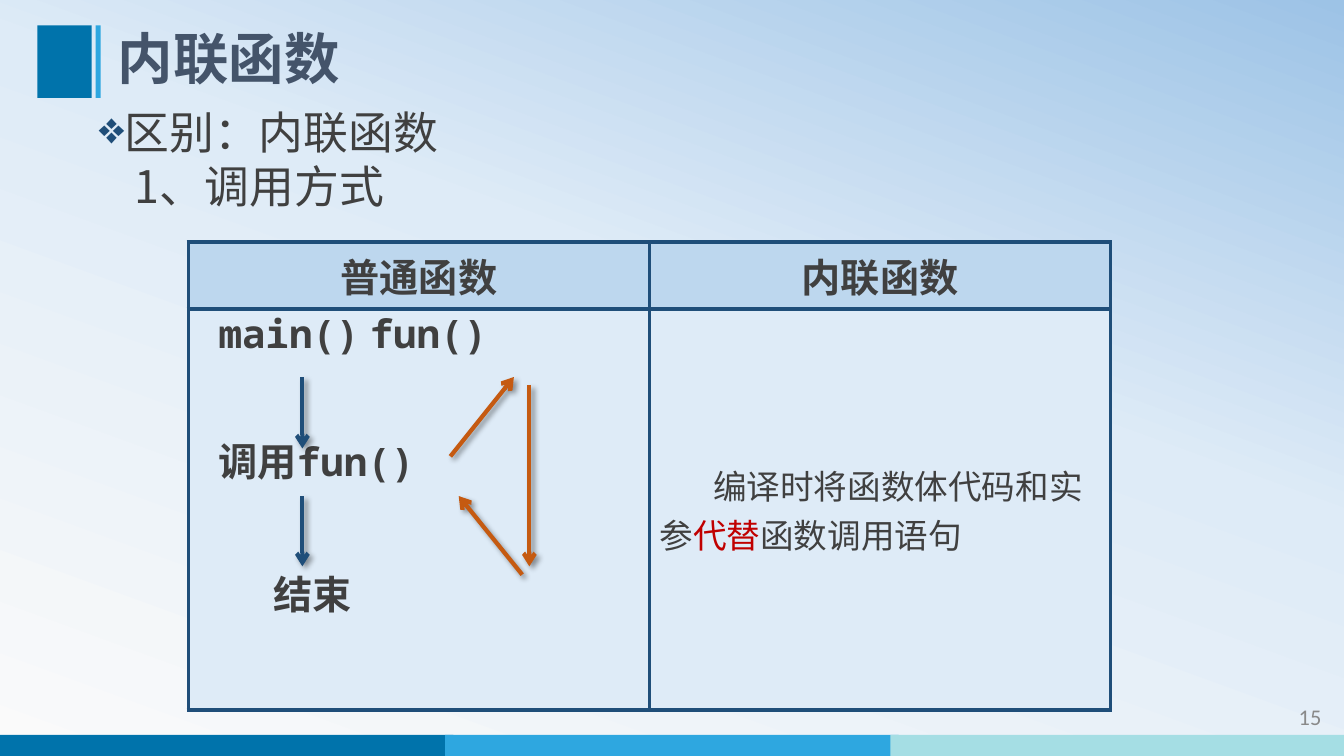
from pptx import Presentation
from pptx.dml.color import RGBColor
from pptx.enum.shapes import MSO_CONNECTOR as CONN, MSO_SHAPE as SHAPE
from pptx.enum.text import MSO_ANCHOR as ANCHOR, PP_ALIGN as ALIGN
from pptx.oxml import parse_xml
from pptx.oxml.ns import nsdecls
from pptx.util import Cm, Pt

NAVY, ORANGE, GREY = "1F4E79", "C55A11", "404040"
BLUES = ["0073AB", "2EA7E0", "A5DEE4"]
SANS, MONO = "Noto Sans CJK SC", "Noto Sans Mono"


def rgb(value):
    return RGBColor.from_string(value)


def xml(tag, attrs="", inner=""):
    return parse_xml(f"<{tag} {nsdecls('a', 'p')} {attrs}>{inner}</{tag}>")


def solid(color):
    return f'<a:solidFill><a:srgbClr val="{color}"/></a:solidFill>'


class Deck:
    def __init__(self, width, height):
        self.prs = Presentation()
        self.prs.slide_width, self.prs.slide_height = Cm(width), Cm(height)
        self.s = self.prs.slides.add_slide(self.prs.slide_layouts[6])

    def background(self, stops, angle):
        gs = "".join(f'<a:gs pos="{pos * 1000}"><a:srgbClr val="{color}"/></a:gs>'
                     for pos, color in stops)
        fill = (f'<a:gradFill rotWithShape="1"><a:gsLst>{gs}</a:gsLst>'
                f'<a:lin ang="{angle * 60000}" scaled="0"/></a:gradFill>')
        bg = xml("p:bg", inner=f"<p:bgPr>{fill}<a:effectLst/></p:bgPr>")
        self.s._element.cSld.insert(0, bg)

    def rect(self, x, y, w, h, color):
        sp = self.s.shapes.add_shape(SHAPE.RECTANGLE, Cm(x), Cm(y), Cm(w), Cm(h))
        sp.shadow.inherit = False
        sp.fill.solid()
        sp.fill.fore_color.rgb = rgb(color)
        sp.line.fill.background()

    def textbox(self, x, y, w, h, anchor=ANCHOR.TOP):
        tf = self.s.shapes.add_textbox(Cm(x), Cm(y), Cm(w), Cm(h)).text_frame
        tf.word_wrap = True
        tf.vertical_anchor = anchor
        return tf

    def paragraph(self, tf, runs, size, font=SANS, bold=False, align=ALIGN.LEFT,
                  spacing=None, before=0, left=0, indent=0, extras=()):
        p = tf.paragraphs[0]
        if p.runs:
            p = tf.add_paragraph()
        p.alignment, p.line_spacing, p.space_before = align, spacing, Pt(before)
        pPr = p._p.get_or_add_pPr()
        pPr.set("marL", str(Cm(left)))
        pPr.set("indent", str(Cm(indent)))
        for extra in extras:
            pPr.append(extra)
        for text, color in runs:
            r = p.add_run()
            r.text = text
            r.font.size, r.font.bold, r.font.name = Pt(size), bold, font
            r.font.color.rgb = rgb(color)
            r._r.get_or_add_rPr().append(xml("a:ea", f'typeface="{SANS}"'))

    def table(self, x, y, widths, heights, fills):
        table = self.s.shapes.add_table(len(heights), len(widths), Cm(x), Cm(y),
                                        Cm(sum(widths)), Cm(sum(heights))).table
        for col, w in zip(table.columns, widths):
            col.width = Cm(w)
        for row, h, color in zip(table.rows, heights, fills):
            row.height = Cm(h)
            for cell in row.cells:
                cell.fill.solid()
                cell.fill.fore_color.rgb = rgb(color)
                for i, side in enumerate("LRTB"):
                    line = xml(f"a:ln{side}", f'w="{Pt(3)}"', solid(NAVY))
                    cell._tc.get_or_add_tcPr().insert(i, line)
        return table

    def arrow(self, x1, y1, x2, y2, color):
        c = self.s.shapes.add_connector(CONN.STRAIGHT, Cm(x1), Cm(y1), Cm(x2), Cm(y2))
        c.line.color.rgb = rgb(color)
        c.line.width = Pt(3)
        c.line._get_or_add_ln().append(xml("a:tailEnd", 'type="arrow"'))
        shadow = (f'<a:outerShdw blurRad="{Pt(4)}" dist="{Pt(3)}" dir="2700000">'
                  '<a:srgbClr val="000000"><a:alpha val="40000"/></a:srgbClr></a:outerShdw>')
        c._element.spPr.append(xml("a:effectLst", inner=shadow))


d = Deck(33.87, 19.05)
d.background([(0, "FAFAFA"), (58, "DEEBF7"), (100, "9DC3E6")], 290)
for i, color in enumerate(BLUES):
    d.rect(i * 11.22, 18.52, 11.43, 0.53, color)
d.rect(0.94, 0.64, 1.37, 1.83, BLUES[0])
d.rect(2.41, 0.64, 0.13, 1.83, BLUES[1])

number = d.textbox(29.51, 17.55, 4.04, 1.02, ANCHOR.MIDDLE)
d.paragraph(number, [("15", "898989")], 16, "Calibri", align=ALIGN.RIGHT)
title = d.textbox(2.72, 0.64, 27.58, 1.83, ANCHOR.MIDDLE)
d.paragraph(title, [("内联函数", "44546A")], 39.6, bold=True, spacing=0.9)

body = d.textbox(2.24, 2.67, 28.27, 3.43)
bullet = [xml("a:buClr", inner=f'<a:srgbClr val="{NAVY}"/>'), xml("a:buChar", 'char="❖"')]
d.paragraph(body, [("区别：内联函数", GREY)], 32, spacing=0.9,
            left=0.64, indent=-0.64, extras=bullet)
d.paragraph(body, [("1、调用方式", GREY)], 32, spacing=0.9, before=4, left=0.91)

table = d.table(4.75, 6.1, [11.62, 11.62], [1.69, 10.1], ["BDD7EE", "DEEBF7"])
for i, head in enumerate(["普通函数", "内联函数"]):
    d.paragraph(table.cell(0, i).text_frame, [(head, GREY)], 28, bold=True, align=ALIGN.CENTER)
inline = table.cell(1, 1)
inline.vertical_anchor = ANCHOR.MIDDLE
d.paragraph(inline.text_frame, [("编译时将函数体代码和实参", GREY), ("代替", "C00000"),
                                ("函数调用语句", GREY)], 24, indent=1.35)

flow = d.textbox(5.26, 7.67, 10.74, 8.64)
tabs = xml("a:tabLst", inner=f'<a:tab pos="{Cm(7.13)}" algn="l"/>')
d.paragraph(flow, [("main()\tfun()", GREY)], 28, MONO, True, extras=[tabs])
d.paragraph(flow, [("调用fun()", GREY)], 28, MONO, True, before=58)
d.paragraph(flow, [("结束", GREY)], 28, MONO, True, before=61, left=1.39)

for top, bottom in [(9.5, 11.3), (12.5, 14.27)]:
    d.arrow(7.62, top, 7.62, bottom, NAVY)
for ends in [(11.35, 11.5, 12.95, 9.5), (13.34, 9.7, 13.34, 14.27),
             (13.16, 14.48, 11.56, 12.5)]:
    d.arrow(*ends, ORANGE)

d.prs.save("out.pptx")
